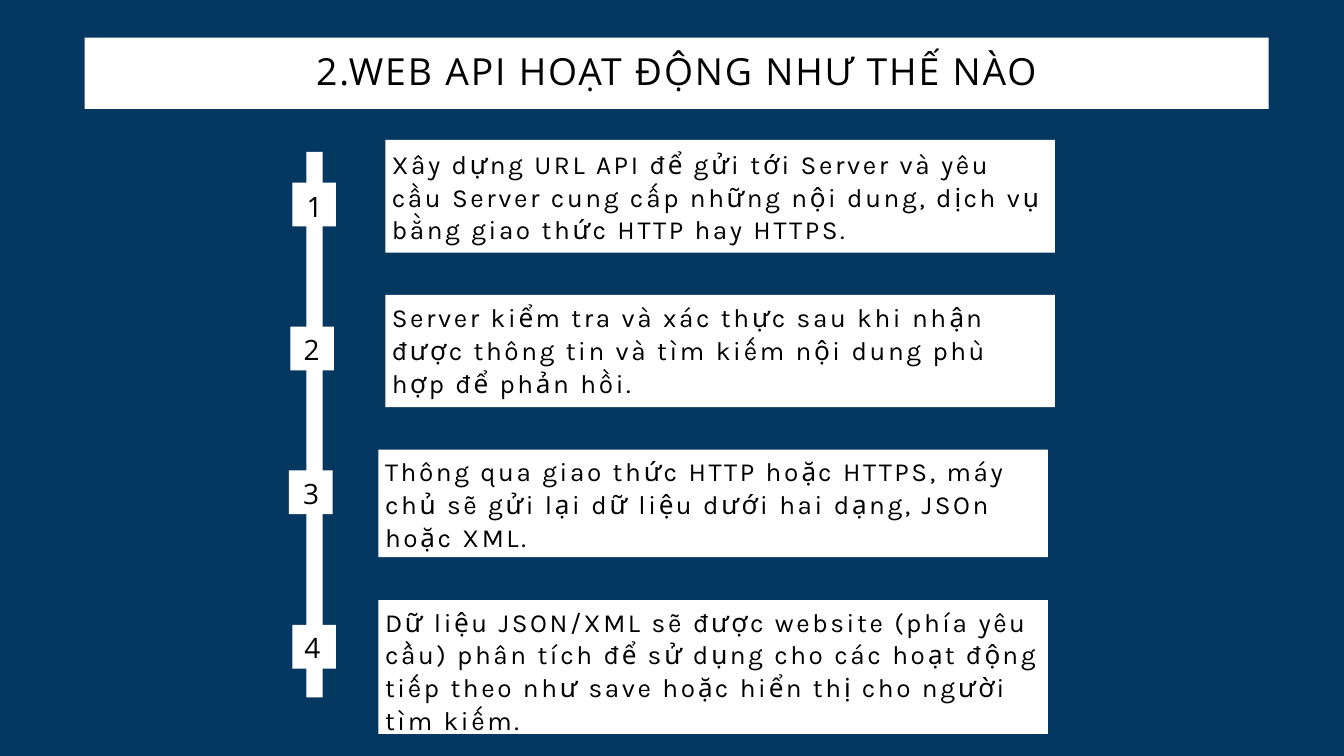
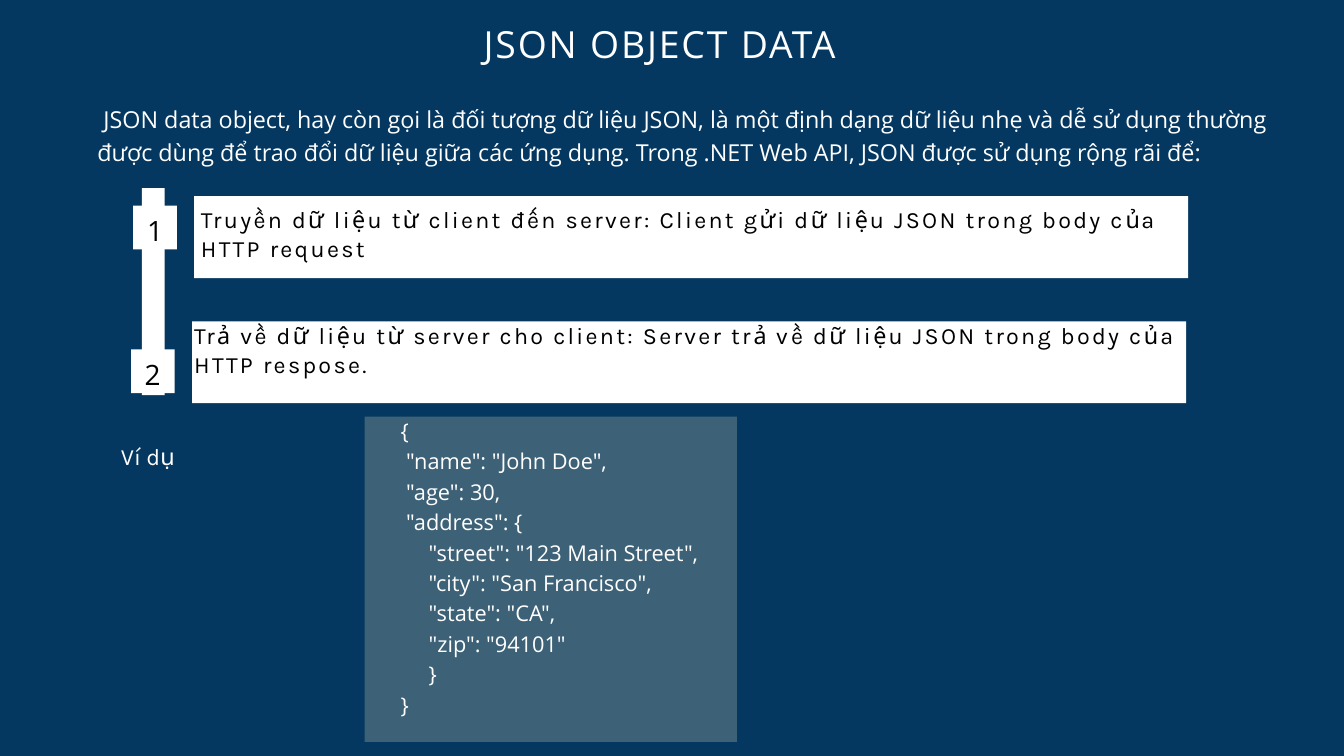
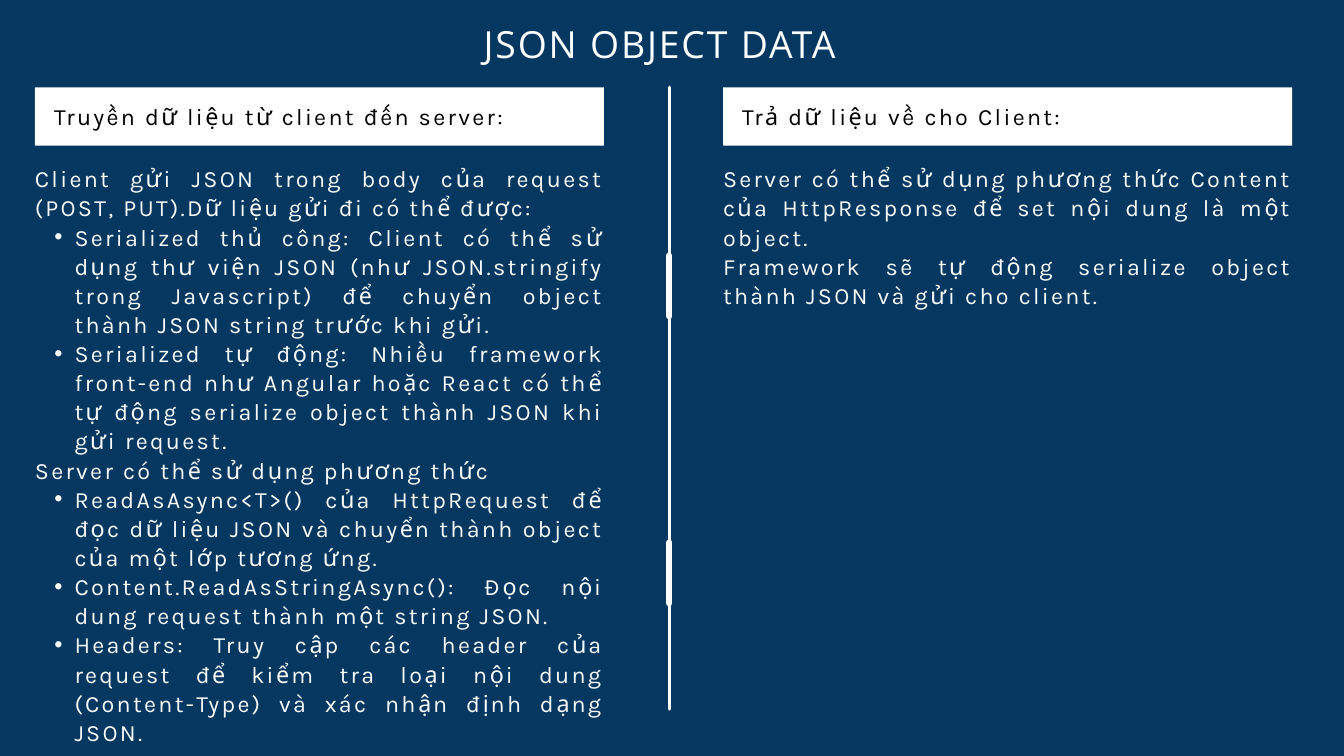
from pptx import Presentation
from pptx.dml.color import RGBColor
from pptx.enum.shapes import MSO_CONNECTOR as CONN, MSO_SHAPE as SHAPE
from pptx.enum.text import MSO_AUTO_SIZE as AUTO, PP_ALIGN as ALIGN
from pptx.oxml.ns import qn
from pptx.util import Pt
from lxml import etree

NAVY, WHITE, BLACK, SOFT, SLATE = "053860", "FFFFFF", "000000", "FAFAFA", "3D6176"

# Text styles: font, size, colour, letter spacing, line height, alignment
TITLE = ("Open Sans", 40, WHITE, 2, 42, ALIGN.CENTER)
BAR_TITLE = ("Open Sans", 40, BLACK, 2, 42, ALIGN.CENTER)
NUMBER = ("Open Sans", 30, BLACK, 3, 42, ALIGN.CENTER)
STEP = ("Karla", 28, BLACK, 2.8, 35, ALIGN.LEFT)
LABEL = ("Karla", 25, BLACK, 2.5, 31.2, ALIGN.LEFT)
BODY = ("Karla", 25, SOFT, 2.5, 31.2, ALIGN.JUSTIFY)
INTRO = ("Open Sans", 25, WHITE, 0, 35, ALIGN.LEFT)
EXAMPLE = ("Karla", 25, WHITE, 0, 35, ALIGN.LEFT)
CODE = ("Open Sans", 23.3, WHITE, 0, 32.6, ALIGN.LEFT)

# Content
HOW_TITLE = "2.WEB API HOẠT ĐỘNG NHƯ THẾ NÀO"
JSON_TITLE = "JSON OBJECT DATA"

# Steps: panel box, text box, text
HOW_STEPS = [
    ((412.8, 149.8, 717.4, 121), (419.8, 157.7, 702.7, 103.7),
     "Xây dựng URL API để gửi tới Server và yêu cầu Server cung cấp những nội dung, "
     "dịch vụ bằng giao thức HTTP hay HTTPS."),
    ((412.8, 316.1, 717.4, 120.2), (419.8, 321.8, 702.7, 103.7),
     "Server kiểm tra và xác thực sau khi nhận được thông tin và tìm kiếm nội dung "
     "phù hợp để phản hồi."),
    ((405.4, 481.7, 717.4, 115.2), (412.6, 486.7, 702.7, 105.8),
     "Thông qua giao thức HTTP hoặc HTTPS, máy chủ sẽ gửi lại dữ liệu dưới hai dạng, "
     "JSOn hoặc XML."),
    ((405.4, 643, 717.4, 143.3), (412.6, 648, 702.7, 141.1),
     "Dữ liệu JSON/XML sẽ được website (phía yêu cầu) phân tích để sử dụng cho các "
     "hoạt động tiếp theo như save hoặc hiển thị cho người tìm kiếm."),
]
JSON_STEPS = [
    ((208.1, 210.2, 1064.9, 87.8), (215.3, 218.2, 1046.2, 62),
     "Truyền dữ liệu từ client đến server: Client gửi dữ liệu JSON trong body của "
     "HTTP request"),
    ((205.9, 344.2, 1064.9, 87.8), (208.1, 342.7, 1062.7, 92),
     "Trả về dữ liệu từ server cho client: Server trả về dữ liệu JSON trong body của "
     "HTTP respose."),
]

# Badges: left, top, left of the number, top of the number
HOW_BADGES = [(313.2, 195.8, 314, 196.6), (311, 350, 311, 350.6),
              (309.6, 504, 310.3, 504.7), (313.2, 669.6, 311.8, 669.6)]
JSON_BADGES = [(142.6, 220.3, 143.3, 222.5), (140.4, 374.4, 140.4, 376.6)]

INTRO_TEXT = ("JSON data object, hay còn gọi là đối tượng dữ liệu JSON, là một định dạng dữ "
              "liệu nhẹ và dễ sử dụng thường được dùng để trao đổi dữ liệu giữa các ứng dụng. "
              "Trong .NET Web API, JSON được sử dụng rộng rãi để:")
JSON_CODE = """{
 "name": "John Doe",
 "age": 30,
 "address": {
     "street": "123 Main Street",
     "city": "San Francisco",
     "state": "CA",
     "zip": "94101"
     }
}""".split("\n")

# Columns: left, heading, body height, paragraphs as (bulleted, text)
COLUMNS = [
    (37.4, "Truyền dữ liệu từ client đến server:", 584.6, [
        (False, "Client gửi JSON trong body của request (POST, PUT).Dữ liệu gửi đi có thể được:"),
        (True, "Serialized thủ công: Client có thể sử dụng thư viện JSON (như JSON.stringify "
               "trong Javascript) để chuyển object thành JSON string trước khi gửi."),
        (True, "Serialized tự động: Nhiều framework front-end như Angular hoặc React có thể "
               "tự động serialize object thành JSON khi gửi request."),
        (False, "Server có thể sử dụng phương thức"),
        (True, "ReadAsAsync<T>() của HttpRequest để đọc dữ liệu JSON và chuyển thành object "
               "của một lớp tương ứng."),
        (True, "Content.ReadAsStringAsync(): Đọc nội dung request thành một string JSON."),
        (True, "Headers: Truy cập các header của request để kiểm tra loại nội dung "
               "(Content-Type) và xác nhận định dạng JSON."),
    ]),
    (774.7, "Trả dữ liệu về cho Client:", 185, [
        (False, "Server có thể sử dụng phương thức Content của HttpResponse để set nội dung "
                "là một object."),
        (False, "Framework sẽ tự động serialize object thành JSON và gửi cho client."),
    ]),
]
# Divider strokes: bottom, top, width
DIVIDER_X = 717.1
DIVIDER = [(759.6, 93.6, 3.75), (339.1, 273.6, 6), (646.6, 581, 6)]


def rgb(color):
    return RGBColor.from_string(color)


def add_slide(prs):
    s = prs.slides.add_slide(prs.slide_layouts[6])
    s.background.fill.solid()
    s.background.fill.fore_color.rgb = rgb(NAVY)
    return s


def add_box(s, box, color=WHITE):
    sp = s.shapes.add_shape(SHAPE.RECTANGLE, *map(Pt, box))
    sp.shadow.inherit = False
    sp.fill.solid()
    sp.fill.fore_color.rgb = rgb(color)
    sp.line.fill.background()


def add_text(s, box, items, style, first_indent=0):
    """Write a string, or a list of (bulleted, text) paragraphs."""
    font, size, color, spacing, line, align = style
    tf = s.shapes.add_textbox(*map(Pt, box)).text_frame
    tf.word_wrap = True
    tf.auto_size = AUTO.SHAPE_TO_FIT_TEXT
    tf.margin_left = tf.margin_right = tf.margin_top = tf.margin_bottom = 0
    if isinstance(items, str):
        items = [(False, items)]
    for i, (bulleted, text) in enumerate(items):
        p = tf.add_paragraph() if i else tf.paragraphs[0]
        pPr = p._p.get_or_add_pPr()
        if bulleted:
            p.level = 1
            pPr.set("marL", str(Pt(42.5)))
            pPr.set("indent", str(Pt(-21.6)))
            etree.SubElement(pPr, qn("a:buFont")).set("typeface", "Arial")
            etree.SubElement(pPr, qn("a:buChar")).set("char", "•")
        elif first_indent:
            pPr.set("indent", str(Pt(first_indent)))
        p.alignment, p.line_spacing = align, Pt(line)
        r = p.add_run()
        r.text = text
        r.font.name, r.font.size = font, Pt(size)
        r.font.color.rgb = rgb(color)
        if spacing:
            r._r.get_or_add_rPr().set("spc", str(round(spacing * 100)))


def add_steps(s, steps, style):
    for panel, box, text in steps:
        add_box(s, panel)
        add_text(s, box, text, style)


def add_timeline(s, bar, badges):
    add_box(s, bar)
    for number, (x, y, text_x, text_y) in enumerate(badges, 1):
        add_box(s, (x, y, 46.8, 46.8))
        add_text(s, (text_x, text_y, 46, 40), str(number), NUMBER)


def add_json_title(s):
    add_text(s, (149, 28.8, 1116, 44), JSON_TITLE, TITLE)


def add_stroke(s, x, y1, y2, width):
    c = s.shapes.add_connector(CONN.STRAIGHT, Pt(x), Pt(y1), Pt(x), Pt(y2))
    c.line.color.rgb = rgb(WHITE)
    c.line.width = Pt(width)
    c.line._get_or_add_ln().set("cap", "rnd")
    etree.SubElement(c._element.spPr, qn("a:effectLst"))


def build_how(prs):
    s = add_slide(prs)
    add_box(s, (90.7, 40.3, 1268.6, 76.3))
    add_text(s, (185.8, 57.6, 1078.6, 45.4), HOW_TITLE, BAR_TITLE)
    add_steps(s, HOW_STEPS, STEP)
    add_timeline(s, (328.3, 162.7, 17.3, 584.6), HOW_BADGES)


def build_json(prs):
    s = add_slide(prs)
    add_json_title(s)
    add_text(s, (104.4, 108, 1268, 67.7), INTRO_TEXT, INTRO, first_indent=6.5)
    add_steps(s, JSON_STEPS, LABEL)
    add_timeline(s, (151.9, 201.6, 24.5, 221.8), JSON_BADGES)
    # Code example
    add_text(s, (129.6, 468.7, 120.2, 33), "Ví dụ", EXAMPLE)
    add_box(s, (390.6, 446.4, 399, 348.5), SLATE)
    add_text(s, (429.1, 442.8, 349.2, 352.8), [(False, row) for row in JSON_CODE], CODE)


def build_columns(prs):
    s = add_slide(prs)
    add_json_title(s)
    for x, heading, height, items in COLUMNS:
        add_box(s, (x, 93.6, 609.8, 62.6))
        add_text(s, (x + 20.5, 108, 531.4, 31), heading, LABEL)
        add_text(s, (x, 175, 609.8, height), items, BODY)
    for bottom, top, width in DIVIDER:
        add_stroke(s, DIVIDER_X, bottom, top, width)


def main():
    prs = Presentation()
    prs.slide_width, prs.slide_height = Pt(1440), Pt(810)
    build_how(prs)
    build_json(prs)
    build_columns(prs)
    prs.save("out.pptx")


if __name__ == "__main__":
    main()
